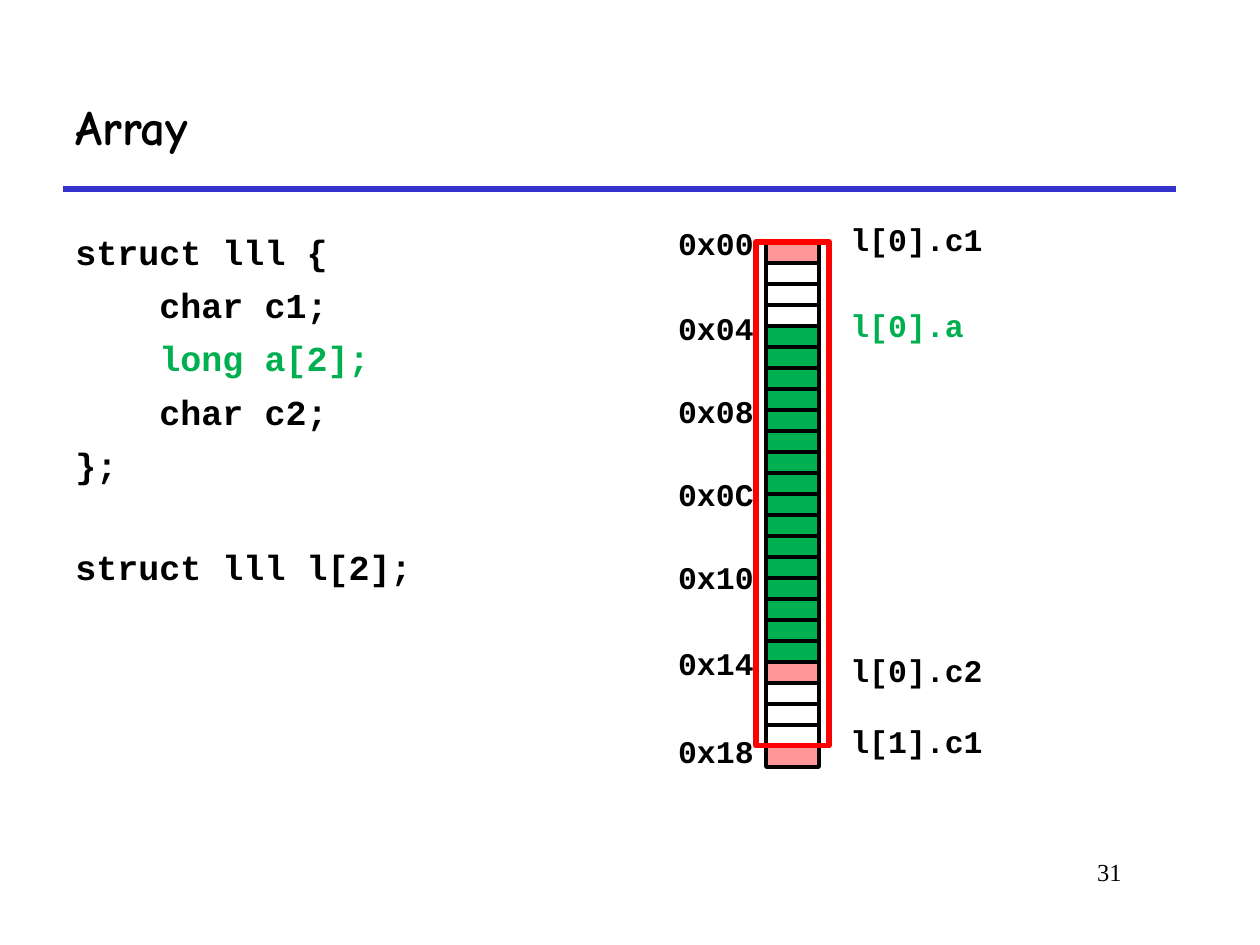
from pptx import Presentation
from pptx.dml.color import RGBColor
from pptx.enum.shapes import MSO_CONNECTOR, MSO_SHAPE
from pptx.enum.text import MSO_ANCHOR, PP_ALIGN
from pptx.util import Inches, Pt
from lxml import etree

BLACK, GREEN, PINK, RED, BLUE = "000000", "00B050", "FF9797", "FF0000", "3333CC"
CODE_FONT = "Courier New"
CELL_LEFT, CELL_TOP, CELL_W, CELL_H = 6.08, 1.92, 0.42, 1 / 6

CODE = [  # text, colour, space before
    ("struct lll {", BLACK, 0),
    ("    char c1;", BLACK, 6.4),
    ("    long a[2];", GREEN, 6.4),
    ("    char c2;", BLACK, 6.4),
    ("};", BLACK, 6.4),
    ("struct lll l[2];", BLACK, 34.5),
]
ADDRESSES = [("0x00", 1.73), ("0x04", 2.4), ("0x08", 3.06), ("0x0C", 3.72),
             ("0x10", 4.38), ("0x14", 5.06), ("0x18", 5.76)]
MEMBERS = [("l[0].c1", 1.7, BLACK), ("l[0].a", 2.38, GREEN),
           ("l[0].c2", 5.12, BLACK), ("l[1].c1", 5.68, BLACK)]
# One fill per byte; None is padding
BYTES = [PINK] + [None] * 3 + [GREEN] * 16 + [PINK] + [None] * 3 + [PINK]


def rgb(color):
    return RGBColor.from_string(color)


def set_font(p, name, size, color=BLACK, bold=True):
    p.font.name = name
    p.font.size = Pt(size)
    p.font.bold = bold
    p.font.color.rgb = rgb(color)


def add_box(s, left, top, width, height):
    tf = s.shapes.add_textbox(Inches(left), Inches(top), Inches(width), Inches(height)).text_frame
    tf.word_wrap = True
    return tf


def add_label(s, text, left, top, width, color=BLACK, align=PP_ALIGN.LEFT):
    p = add_box(s, left, top, width, 0.4).paragraphs[0]
    p.text = text
    p.alignment = align
    set_font(p, CODE_FONT, 18, color)


def add_rect(s, left, top, width, height, fill, line, weight):
    sp = s.shapes.add_shape(MSO_SHAPE.RECTANGLE, Inches(left), Inches(top),
                            Inches(width), Inches(height))
    sp.shadow.inherit = False
    if fill:
        sp.fill.solid()
        sp.fill.fore_color.rgb = rgb(fill)
    else:
        sp.fill.background()
    sp.line.color.rgb = rgb(line)
    sp.line.width = Pt(weight)


def add_title(s, text):
    title = s.shapes.title
    title.left, title.top = Inches(0.5), Inches(0.5)
    title.width, title.height = Inches(8.83), Inches(1)
    tf = title.text_frame
    tf.vertical_anchor = MSO_ANCHOR.MIDDLE
    p = tf.paragraphs[0]
    p.text = text
    p.alignment = PP_ALIGN.LEFT
    set_font(p, "Comic Neue", 28)


def add_rule(s):
    line = s.shapes.add_connector(MSO_CONNECTOR.STRAIGHT, Inches(0.5), Inches(1.5),
                                  Inches(9.33), Inches(1.5))
    line.line.color.rgb = rgb(BLUE)
    line.line.width = Pt(3)
    ns = "http://schemas.openxmlformats.org/drawingml/2006/main"
    etree.SubElement(line._element.spPr, f"{{{ns}}}effectLst")


def add_code(s):
    tf = add_box(s, 0.5, 1.78, 3.33, 4.22)
    for i, (text, color, before) in enumerate(CODE):
        p = tf.add_paragraph() if i else tf.paragraphs[0]
        p.text = text
        p.space_before = Pt(before)
        set_font(p, CODE_FONT, 20, color)


def add_memory(s):
    for i, fill in enumerate(BYTES):
        add_rect(s, CELL_LEFT, CELL_TOP + i * CELL_H, CELL_W, CELL_H, fill, BLACK, 2.25)
    # Frame around the first element, 24 bytes
    add_rect(s, 6, CELL_TOP, 0.58, 24 * CELL_H, None, RED, 3)
    for text, top in ADDRESSES:
        add_label(s, text, 5.25, top, 0.83, align=PP_ALIGN.RIGHT)
    for text, top, color in MEMBERS:
        add_label(s, text, 6.65, top, 1.35, color)


def add_page_number(s, number):
    p = add_box(s, 7.58, 6.75, 1.42, 0.5).paragraphs[0]
    p.text = number
    p.alignment = PP_ALIGN.RIGHT
    set_font(p, "Times New Roman", 14, bold=False)


def main():
    prs = Presentation()
    prs.slide_width, prs.slide_height = Inches(10), Inches(7.5)
    s = prs.slides.add_slide(prs.slide_layouts[5])
    add_rule(s)
    add_title(s, "Array")
    add_code(s)
    add_memory(s)
    add_page_number(s, "31")
    prs.save("out.pptx")


if __name__ == "__main__":
    main()
